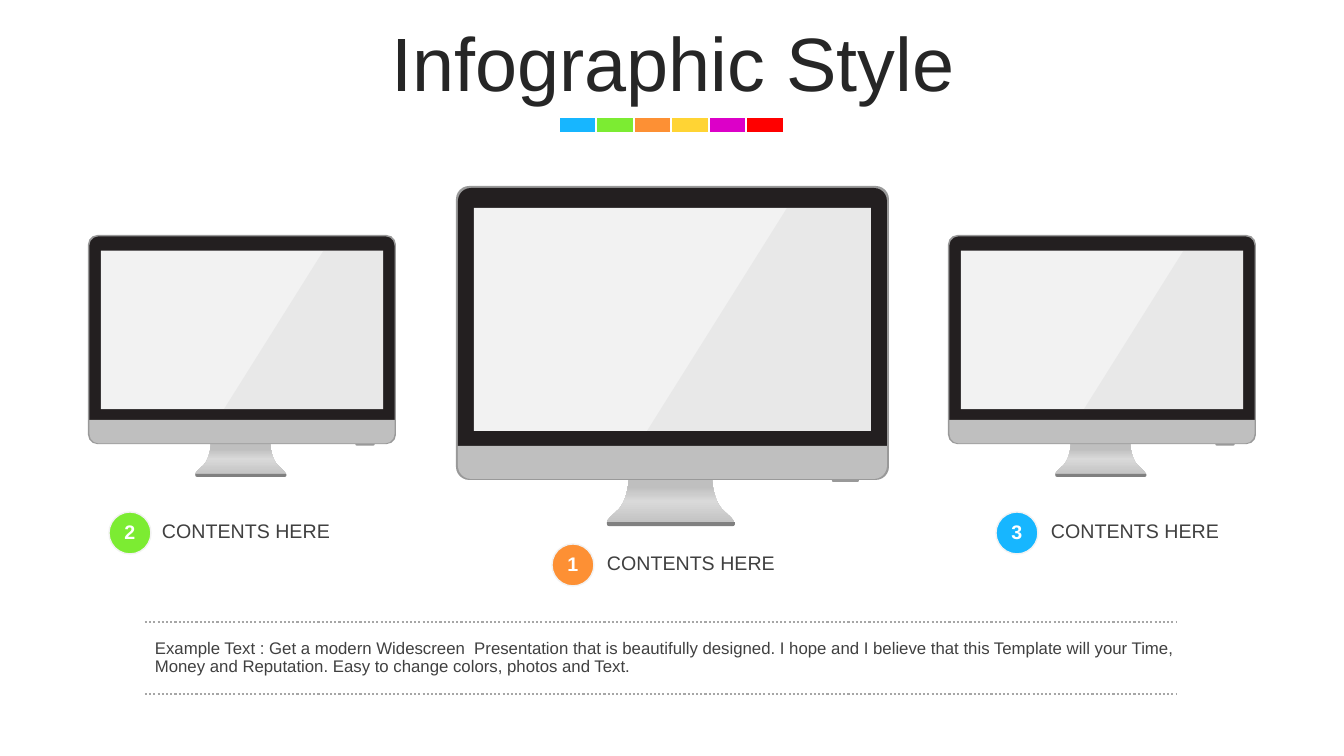
from dataclasses import dataclass

from lxml import etree
from pptx import Presentation
from pptx import util as u
from pptx.dml import color
from pptx.enum import dml, shapes, text
from pptx.oxml import ns

SHAPE = shapes.MSO_SHAPE
PX = u.Inches(7.5) / 756


@dataclass(frozen=True)
class Theme:
    font: str = "Arial"
    title_size: int = 54
    label_size: int = 14
    note_size: int = 12
    title: str = "262626"
    body: str = "404040"
    white: str = "FFFFFF"
    badge_edge: str = "F2F2F2"
    rule: str = "A6A6A6"
    edge: str = "999999"
    bezel: str = "231F20"
    metal: str = "BFBFBF"
    screen: str = "F2F2F2"
    lip: str = "808080"
    blue: str = "17B6FF"
    green: str = "7CEC32"
    orange: str = "FD9034"
    yellow: str = "FFD434"
    magenta: str = "DC00C8"
    red: str = "FF0000"
    stand: tuple = ((0, "BFBFBF"), (53, "D9D9D9"), (83, "BFBFBF"), (100, "BFBFBF"))


def emu(length):
    return u.Emu(round(length * PX))


def rgb(value):
    return color.RGBColor.from_string(value)


def bezier(start, first, second, end, steps=12):
    for step in range(1, steps + 1):
        t = step / steps
        weights = ((1 - t) ** 3, 3 * t * (1 - t) ** 2, 3 * t * t * (1 - t), t ** 3)
        yield tuple(
            sum(weight * value for weight, value in zip(weights, axis))
            for axis in zip(start, first, second, end)
        )


class Page:
    def __init__(self, deck, theme):
        self.theme = theme
        self.slide = deck.slides.add_slide(deck.slide_layouts[5])
        self.shapes = self.slide.shapes

    def fill_text(self, box, words, size, ink, align=text.PP_ALIGN.LEFT, bold=False):
        frame = box.text_frame
        frame.word_wrap = True
        frame.auto_size = text.MSO_AUTO_SIZE.NONE
        frame.vertical_anchor = text.MSO_ANCHOR.MIDDLE
        para = frame.paragraphs[0]
        para.text = words
        para.alignment = align
        para.line_spacing = 0.9
        para.space_before = u.Pt(0)
        para.font.name = self.theme.font
        para.font.size = u.Pt(size)
        para.font.bold = bold
        para.font.color.rgb = rgb(ink)
        return frame

    def title(self, words, left, top, width, height):
        box = self.shapes.title
        box.left, box.top, box.width, box.height = map(emu, (left, top, width, height))
        frame = self.fill_text(
            box, words, self.theme.title_size, self.theme.title, text.PP_ALIGN.CENTER
        )
        frame.margin_top = u.Inches(0.1)

    def text(self, words, left, top, width, height, size):
        box = self.shapes.add_textbox(*map(emu, (left, top, width, height)))
        self.fill_text(box, words, size, self.theme.body)

    def paint(self, shape, fill, edge=None):
        shape.shadow.inherit = False
        shape.fill.solid()
        shape.fill.fore_color.rgb = rgb(fill)
        if edge:
            shape.line.color.rgb = rgb(edge)
            shape.line.width = u.Pt(1)
        else:
            shape.line.fill.background()
        return shape

    def shape(self, kind, left, top, width, height, fill, edge=None, corners=()):
        shape = self.shapes.add_shape(kind, *map(emu, (left, top, width, height)))
        for index, corner in enumerate(corners):
            shape.adjustments[index] = corner
        return self.paint(shape, fill, edge)

    def outline(self, points, fill):
        points = [(emu(x), emu(y)) for x, y in points]
        builder = self.shapes.build_freeform(*points[0])
        builder.add_line_segments(points[1:])
        return self.paint(builder.convert_to_shape(), fill)

    def fade(self, shape, percent):
        ink = next(shape.element.iter(ns.qn("a:srgbClr")))
        etree.SubElement(ink, ns.qn("a:alpha"), val=str(percent * 1000))

    def shade(self, shape, stops):
        shape.fill.gradient()
        shape.fill.gradient_angle = 90
        listing = next(shape.element.iter(ns.qn("a:gsLst")))
        for stop in list(listing):
            listing.remove(stop)
        for position, ink in stops:
            stop = etree.SubElement(listing, ns.qn("a:gs"), pos=str(position * 1000))
            etree.SubElement(stop, ns.qn("a:srgbClr"), val=ink)

    def rule(self, left, right, y):
        line = self.shapes.add_connector(
            shapes.MSO_CONNECTOR.STRAIGHT, *map(emu, (left, y, right, y))
        )
        line.line.color.rgb = rgb(self.theme.rule)
        line.line.width = u.Pt(1.5)
        line.line.dash_style = dml.MSO_LINE.ROUND_DOT
        etree.SubElement(line.element.spPr, ns.qn("a:effectLst"))

    def badge(self, number, left, top, fill):
        disc = self.shape(SHAPE.OVAL, left, top, 42, 42, fill, self.theme.badge_edge)
        frame = self.fill_text(
            disc, number, self.theme.label_size, self.theme.white,
            text.PP_ALIGN.CENTER, bold=True,
        )
        frame.margin_left = frame.margin_right = 0

    def monitor(self, left, top, width):
        theme, ratio = self.theme, width / 433

        def place(points):
            return [(left + x * ratio, top + y * ratio) for x, y in points]

        def part(kind, x, y, wide, high, fill, corners=()):
            start = place([(x, y)])[0]
            self.shape(kind, *start, wide * ratio, high * ratio, fill, corners=corners)

        right_side = [
            (256, 293),
            *bezier((256, 293), (256, 293), (257, 313), (266, 323)),
            *bezier((266, 323), (275, 332), (289, 340), (264, 340)),
        ]
        left_side = [(429 - x, y) for x, y in reversed(right_side)]
        stand = self.outline(place(right_side + left_side), theme.metal)
        self.shade(stand, theme.stand)

        pair = SHAPE.ROUND_2_SAME_RECTANGLE
        part(SHAPE.ROUNDED_RECTANGLE, 0, 0, 433, 294, theme.edge, (0.045,))
        part(pair, 376, 293, 27, 3, theme.edge, (0, 0.5))
        part(pair, 2, 2, 429, 258, theme.bezel, (0.05, 0))
        part(pair, 151, 336, 128, 4, theme.lip, (0, 0.5))
        part(pair, 2, 260, 429, 33, theme.metal, (0, 0.4))
        part(SHAPE.RECTANGLE, 18, 22, 397, 223, theme.screen)
        glare = [(331, 22), (415, 22), (415, 245), (191, 245)]
        self.fade(self.outline(place(glare), theme.edge), 10)


def main():
    deck = Presentation()
    deck.slide_width, deck.slide_height = emu(1344), emu(756)
    theme = Theme()
    page = Page(deck, theme)

    page.title("Infographic Style", 35, 24, 1276, 80)
    stripes = (
        theme.blue, theme.green, theme.orange, theme.yellow, theme.magenta, theme.red
    )
    for index, fill in enumerate(stripes):
        page.shape(
            SHAPE.RECTANGLE, 559 + index * 75 // 2, 117, 38, 16, fill, theme.white
        )

    for left, top, width in ((456, 186, 433), (88, 235, 308), (948, 235, 308)):
        page.monitor(left, top, width)

    labels = (
        ("2", 109, 512, theme.green, 152),
        ("1", 552, 544, theme.orange, 597),
        ("3", 996, 512, theme.blue, 1041),
    )
    for number, left, top, fill, label_left in labels:
        page.badge(number, left, top, fill)
        page.text("CONTENTS HERE", label_left, top + 1, 203, 39, theme.label_size)

    for y in (622, 694):
        page.rule(145, 1176, y)
    page.text(
        "Example Text : Get a modern Widescreen  Presentation that is beautifully "
        "designed. I hope and I believe that this Template will your Time, Money and "
        "Reputation. Easy to change colors, photos and Text.",
        145, 631, 1061, 54, theme.note_size,
    )
    deck.save("out.pptx")


if __name__ == "__main__":
    main()
